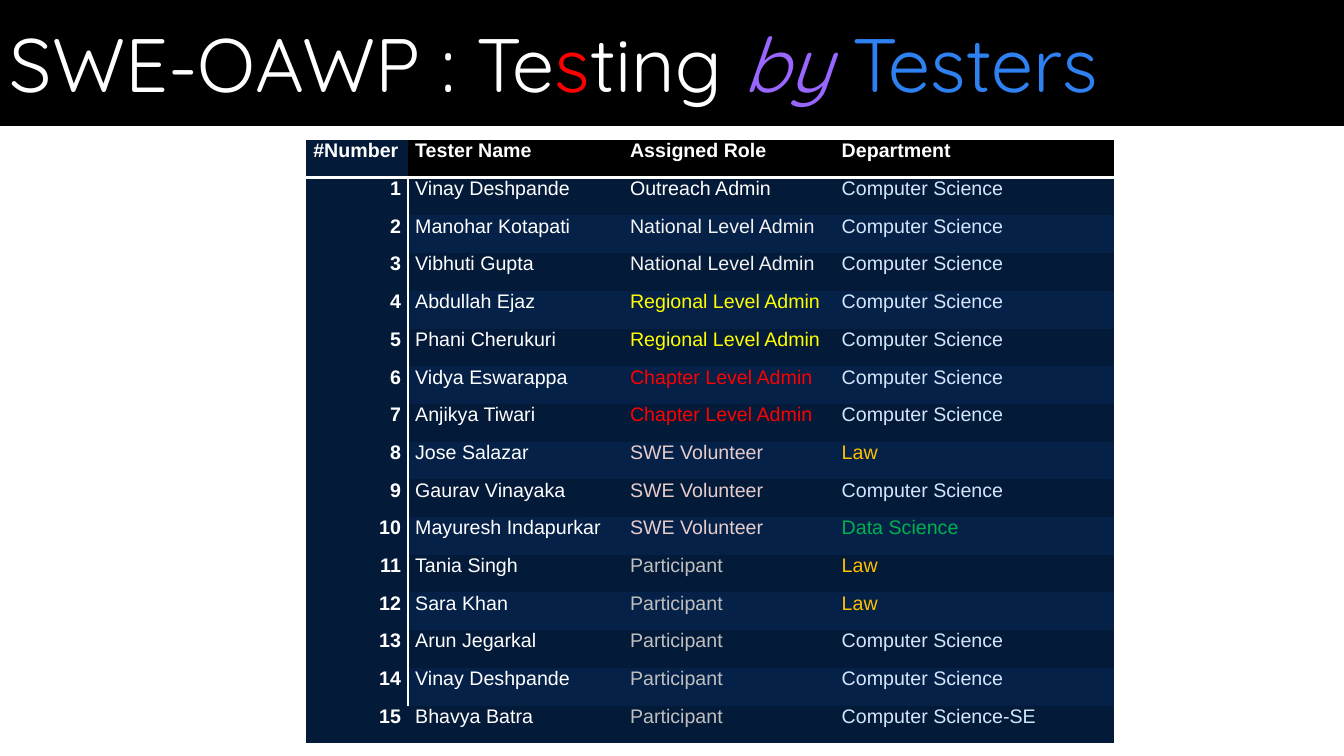
"""Build the tester roster slide: a title band above a table of testers."""
from dataclasses import dataclass

from lxml import etree
from pptx import Presentation
from pptx import util as u
from pptx.dml.color import RGBColor
from pptx.enum import shapes, text
from pptx.oxml.ns import qn

Pt = u.Pt


@dataclass(frozen=True)
class Theme:
    """Colours, fonts and type sizes of the slide."""

    black: str = "000000"
    white: str = "FFFFFF"
    navy: str = "041A39"
    navy_band: str = "052147"
    red: str = "FF0000"
    purple: str = "9966FF"
    blue: str = "2F81F2"
    pale_blue: str = "D5E6FC"
    pale_grey: str = "F2F2F2"
    yellow: str = "FFFF00"
    pink: str = "E7CCCC"
    grey: str = "BFBFBF"
    amber: str = "FFC000"
    green: str = "00B050"
    title_font: str = "Quicksand"
    body_font: str = "Arial"
    title_size: float = 54
    body_size: float = 14
    rule: float = 2


T = Theme()
NO_STYLE = "{2D5ABB26-0587-4C30-8999-92F81FD0307C}"
HEADINGS = ("#Number", "Tester Name", "Assigned Role", "Department")
COL_WIDTHS = (72.8, 153.5, 151.2, 199.3)
ROW_HEIGHT = 26.93
ROLE_COLORS = {
    "Outreach Admin": T.white,
    "National Level Admin": T.pale_grey,
    "Regional Level Admin": T.yellow,
    "Chapter Level Admin": T.red,
    "SWE Volunteer": T.pink,
    "Participant": T.grey,
}
DEPARTMENT_COLORS = {"Law": T.amber, "Data Science": T.green}
TESTERS = (
    ("Vinay Deshpande", "Outreach Admin", "Computer Science"),
    ("Manohar Kotapati", "National Level Admin", "Computer Science"),
    ("Vibhuti Gupta", "National Level Admin", "Computer Science"),
    ("Abdullah Ejaz", "Regional Level Admin", "Computer Science"),
    ("Phani Cherukuri", "Regional Level Admin", "Computer Science"),
    ("Vidya Eswarappa", "Chapter Level Admin", "Computer Science"),
    ("Anjikya Tiwari", "Chapter Level Admin", "Computer Science"),
    ("Jose Salazar", "SWE Volunteer", "Law"),
    ("Gaurav Vinayaka", "SWE Volunteer", "Computer Science"),
    ("Mayuresh Indapurkar", "SWE Volunteer", "Data Science"),
    ("Tania Singh", "Participant", "Law"),
    ("Sara Khan", "Participant", "Law"),
    ("Arun Jegarkal", "Participant", "Computer Science"),
    ("Vinay Deshpande", "Participant", "Computer Science"),
    ("Bhavya Batra", "Participant", "Computer Science-SE"),
)


def add_run(p, content, *, font=T.body_font, size=T.body_size, color=T.white,
            bold=False, italic=False):
    """Append one formatted run to a paragraph."""
    r = p.add_run()
    r.text = content
    r.font.name = font
    r.font.size = Pt(size)
    r.font.color.rgb = RGBColor.from_string(color)
    r.font.bold = bold
    r.font.italic = italic


def paint(fill, color):
    """Give a fill one solid colour."""
    fill.solid()
    fill.fore_color.rgb = RGBColor.from_string(color)


def add_band(s):
    """Draw the black band behind the title."""
    sp = s.shapes.add_shape(shapes.MSO_SHAPE.RECTANGLE, 0, 0, Pt(960), Pt(90))
    sp.shadow.inherit = False
    paint(sp.fill, T.black)
    sp.line.fill.background()


def add_title(s):
    """Write the multicoloured title."""
    tf = s.shapes.add_textbox(0, Pt(8.6), Pt(863.3), Pt(72.7)).text_frame
    tf.word_wrap = True
    tf.auto_size = text.MSO_AUTO_SIZE.SHAPE_TO_FIT_TEXT
    for content, color in (("SWE-OAWP : Te", T.white), ("s", T.red),
                           ("ting ", T.white), ("by ", T.purple),
                           ("Testers", T.blue)):
        add_run(tf.paragraphs[0], content, font=T.title_font,
                size=T.title_size, color=color, italic=color == T.purple)


def add_border(cell, side):
    """Draw a white rule on one side (R or B) of a cell."""
    tc_pr = cell._tc.get_or_add_tcPr()
    ln = etree.SubElement(tc_pr, qn(f"a:ln{side}"), w=str(Pt(T.rule)))
    fill = etree.SubElement(ln, qn("a:solidFill"))
    etree.SubElement(fill, qn("a:srgbClr"), val=T.white)


def fill_cell(cell, content, *, background, borders="", align=None, **fmt):
    """Set the text, margins, rules and background of a cell."""
    cell.margin_left = cell.margin_right = Pt(5.1)
    cell.margin_top = cell.margin_bottom = 0
    for side in borders:
        add_border(cell, side)
    paint(cell.fill, background)
    p = cell.text_frame.paragraphs[0]
    p.alignment = align
    add_run(p, content, **fmt)


def add_roster(s):
    """Add the table of testers."""
    n_rows = len(TESTERS) + 1
    frame = s.shapes.add_table(n_rows, len(HEADINGS), Pt(218.7), Pt(100),
                               Pt(sum(COL_WIDTHS)), Pt(ROW_HEIGHT * n_rows))
    table = frame.table
    table.first_row = table.horz_banding = False
    table._tbl.tblPr.find(qn("a:tableStyleId")).text = NO_STYLE
    for column, width in zip(table.columns, COL_WIDTHS):
        column.width = Pt(width)
    for row in table.rows:
        row.height = Pt(ROW_HEIGHT)
    for col, heading in enumerate(HEADINGS):
        fill_cell(table.cell(0, col), heading, borders="B", bold=True,
                  background=T.black if col else T.navy)
    for number, (name, role, department) in enumerate(TESTERS, 1):
        fill_cell(table.cell(number, 0), str(number), background=T.navy,
                  borders="R" if number < len(TESTERS) else "",
                  align=text.PP_ALIGN.RIGHT, bold=True)
        entries = (
            (name, T.white),
            (role, ROLE_COLORS[role]),
            (department, DEPARTMENT_COLORS.get(department, T.pale_blue)),
        )
        for col, (content, color) in enumerate(entries, 1):
            fill_cell(table.cell(number, col), content, color=color,
                      background=T.navy if number % 2 else T.navy_band)


def main():
    """Build and save the slide."""
    prs = Presentation()
    prs.slide_width, prs.slide_height = Pt(960), Pt(540)
    s = prs.slides.add_slide(prs.slide_layouts[6])
    add_band(s)
    add_title(s)
    add_roster(s)
    prs.save("out.pptx")


if __name__ == "__main__":
    main()
